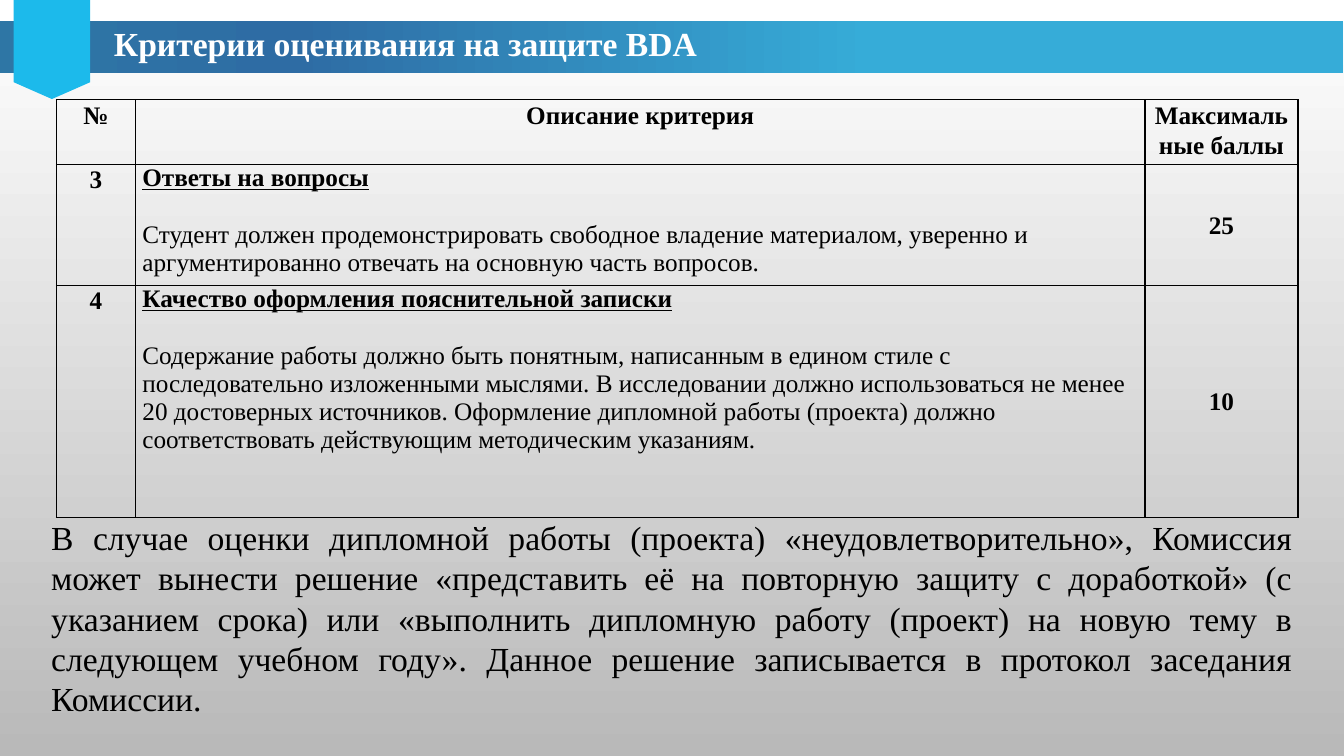
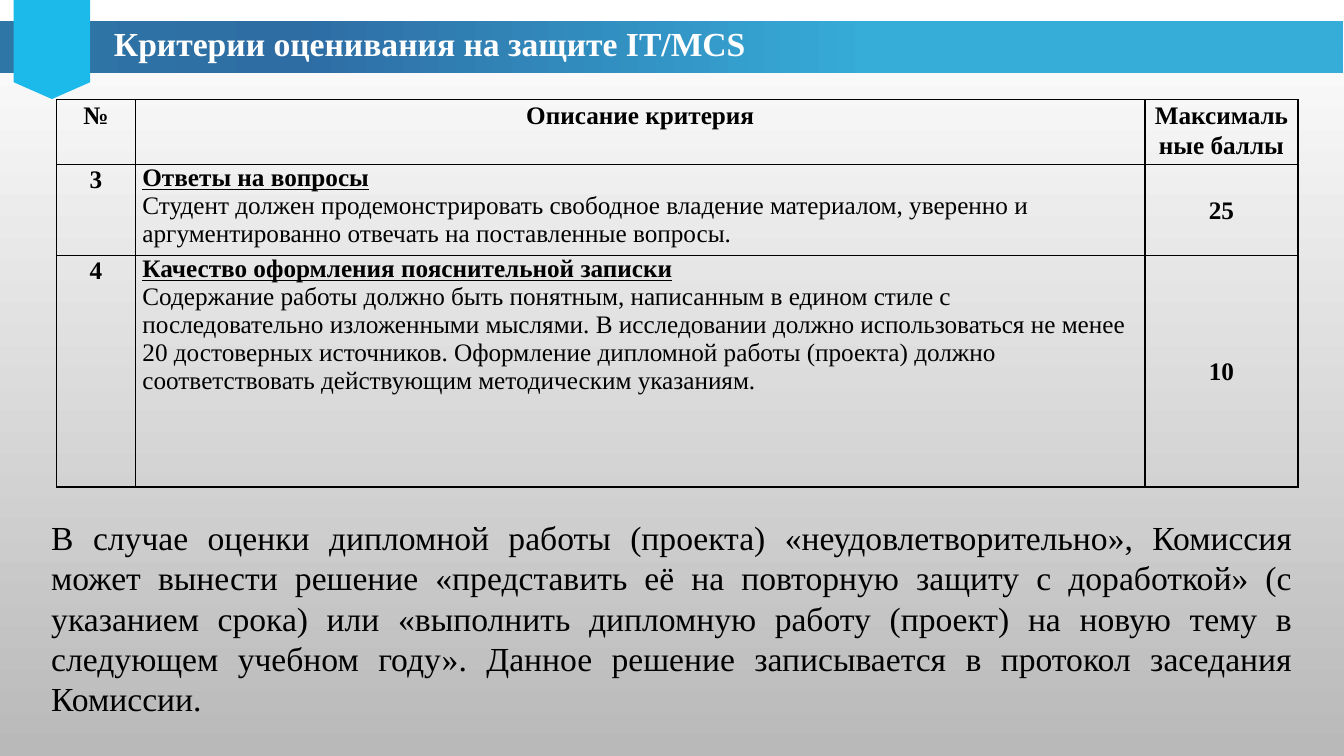
from copy import deepcopy
from pptx import Presentation
from pptx.dml.color import RGBColor as RGB
from pptx.enum.shapes import MSO_SHAPE as Form
from pptx.enum.text import MSO_ANCHOR as Anchor, MSO_AUTO_SIZE as Fit, PP_ALIGN as Align
from pptx.oxml import parse_xml as to_xml
from pptx.oxml.ns import nsdecls
from pptx.util import Inches, Pt

WIDE, HIGH = Inches(13.33), Inches(7.5)
COL, ROW = WIDE / 160, HIGH / 90
FONT = "Times New Roman"
WHITE = RGB(0xFF, 0xFF, 0xFF)
BLACK = RGB(0x00, 0x00, 0x00)
GREY = RGB(0xB9, 0xB9, 0xB9)
SKY = RGB(0x36, 0xAC, 0xD8)
BLUE = RGB(0x2E, 0x6C, 0xA4)
STEEL = RGB(0x2E, 0x76, 0xA5)
CYAN = RGB(0x1C, 0xBA, 0xEB)

BAND = (-0.1, 2.55, 160, 6.1)
FLAG = (0.24, 1.3, 11.88, 9.12)
TITLE = (12.36, 2.16, 100.2, 6)
GRID = (6.72, 11.88, 147.8, 49.7)
NOTE = (4.92, 60.96, 150.1, 25.4)
COLS = (9.4, 120.2, 18.2)
LINE = 20.7

HEAD = ("№", "Описание критерия", "Максимальные баллы")
ASK = "Студент должен продемонстрировать свободное владение материалом, уверенно и аргументированно отвечать на "
STYLE = (
    "Содержание работы должно быть понятным, написанным в едином стиле с последовательно "
    "изложенными мыслями. В исследовании должно использоваться не менее 20 достоверных "
    "источников. Оформление дипломной работы (проекта) должно соответствовать действующим "
    "методическим указаниям."
)
RULE = (
    "В случае оценки дипломной работы (проекта) «неудовлетворительно», Комиссия может вынести "
    "решение «представить её на повторную защиту с доработкой» (с указанием срока) или "
    "«выполнить дипломную работу (проект) на новую тему в следующем учебном году». Данное "
    "решение записывается в протокол заседания Комиссии."
)
PAGES = (
    ("BDA", "основную часть вопросов.", LINE, (7.7, 14.4, 27.6)),
    ("IT/MCS", "поставленные вопросы.", 0, (7.7, 10.8, 27.6)),
)

LARGE = dict(name=FONT, size=Pt(24))
SMALL = dict(name=FONT, size=Pt(18))
MID = dict(alignment=Align.CENTER, line_spacing=1.07, space_after=Pt(8))


def put(item, values):
    for key, value in values.items():
        setattr(item, key, value)


def place(box):
    x, y, w, h = box
    return [round(n) for n in (x * COL, y * ROW, w * COL, h * ROW)]


def write(para, text, font, color=BLACK, **form):
    run = para.add_run()
    run.text = text
    put(run.font, font)
    run.font.color.rgb = color
    put(para, form)


def blend(fill, stops, angle):
    fill.gradient()
    fill.gradient_angle = angle
    marks = fill.gradient_stops
    last = marks[len(marks) - 1]._gs
    for _ in range(len(stops) - len(marks)):
        last.addnext(deepcopy(last))
    for mark, (spot, color) in zip(fill.gradient_stops, stops):
        mark.position = spot
        mark.color.rgb = color


def shape(slide, form, box):
    item = slide.shapes.add_shape(form, *place(box))
    item.shadow.inherit = False
    item.line.fill.background()
    return item


def header(slide, text):
    band = shape(slide, Form.RECTANGLE, BAND)
    blend(band.fill, ((0.35, SKY), (0.78, BLUE), (1, STEEL)), 180)
    flag = shape(slide, Form.PENTAGON, FLAG)
    flag.rotation = 90
    flag.adjustments[0] = 0.22
    flag.fill.solid()
    flag.fill.fore_color.rgb = CYAN
    title = slide.shapes.title
    put(title, dict(zip(("left", "top", "width", "height"), place(TITLE))))
    frame = title.text_frame
    put(frame, dict(word_wrap=True, auto_size=Fit.NONE, vertical_anchor=Anchor.TOP))
    write(frame.paragraphs[0], text, dict(LARGE, bold=True), WHITE, alignment=Align.LEFT)
    slide.shapes._spTree.append(title._element)


def style(cell, side):
    put(cell, dict(margin_left=side, margin_right=side, margin_top=0, margin_bottom=0))
    props = cell._tc.get_or_add_tcPr()
    for edge in ("lnL", "lnR", "lnT", "lnB"):
        props.append(to_xml(
            f'<a:{edge} {nsdecls("a")} w="{Pt(1)}"><a:solidFill>'
            f'<a:srgbClr val="{BLACK}"/></a:solidFill></a:{edge}>'
        ))
    cell.fill.background()


def label(cell, text):
    write(cell.text_frame.paragraphs[0], text, dict(SMALL, bold=True), **MID)


def detail(cell, name, text, gap):
    frame = cell.text_frame
    write(frame.paragraphs[0], name, dict(SMALL, bold=True, underline=True), space_after=Pt(gap))
    write(frame.add_paragraph(), text, dict(SMALL, bold=False))


def criteria(slide, rows, gap, high):
    table = slide.shapes.add_table(len(high), len(COLS), *place(GRID)).table
    put(table, dict(first_row=False, horz_banding=False))
    for col, size in zip(table.columns, COLS):
        col.width = round(size * COL)
    for row, size in zip(table.rows, high):
        row.height = round(size * ROW)
    for spot, text in enumerate(HEAD):
        cell = table.cell(0, spot)
        style(cell, Inches(0.05))
        label(cell, text)
    for line, (mark, name, text, score) in enumerate(rows, 1):
        first, main, last = (table.cell(line, spot) for spot in range(len(COLS)))
        for cell in (first, main, last):
            style(cell, Inches(0.07))
        label(first, mark)
        detail(main, name, text, gap)
        label(last, score)
        last.vertical_anchor = Anchor.MIDDLE


def note(slide):
    frame = slide.shapes.add_textbox(*place(NOTE)).text_frame
    frame.word_wrap = True
    write(frame.paragraphs[0], RULE, LARGE, alignment=Align.JUSTIFY)


def page(deck, group, ending, gap, high):
    slide = deck.slides.add_slide(deck.slide_layouts.get_by_name("Title Only"))
    header(slide, f"Критерии оценивания на защите {group}")
    rows = (
        ("3", "Ответы на вопросы", ASK + ending, "25"),
        ("4", "Качество оформления пояснительной записки", STYLE, "10"),
    )
    criteria(slide, rows, gap, high)
    note(slide)


def main():
    deck = Presentation()
    put(deck, dict(slide_width=WIDE, slide_height=HIGH))
    blend(deck.slide_master.background.fill, ((0, WHITE), (1, GREY)), 270)
    for item in PAGES:
        page(deck, *item)
    deck.save("out.pptx")


if __name__ == "__main__":
    main()
